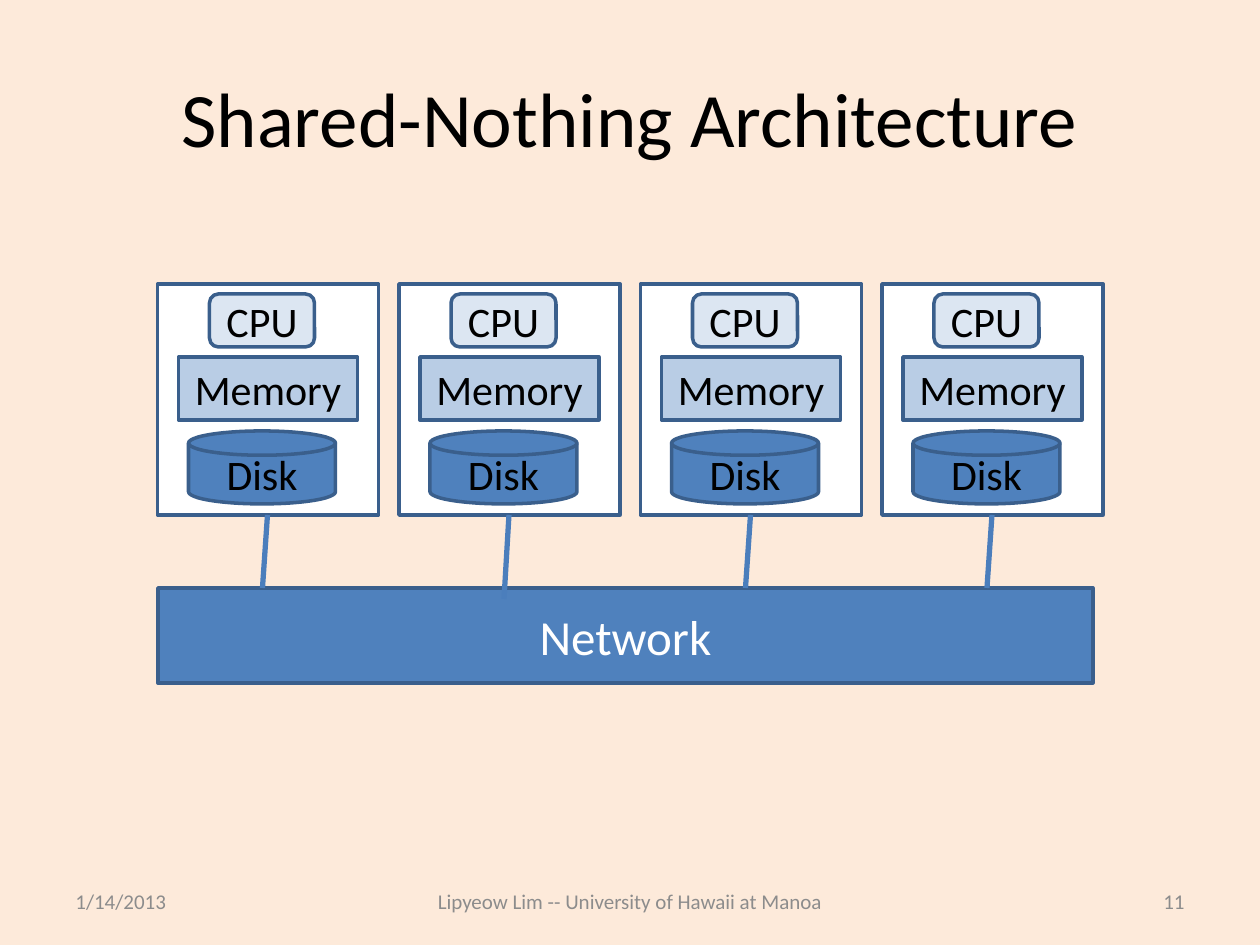
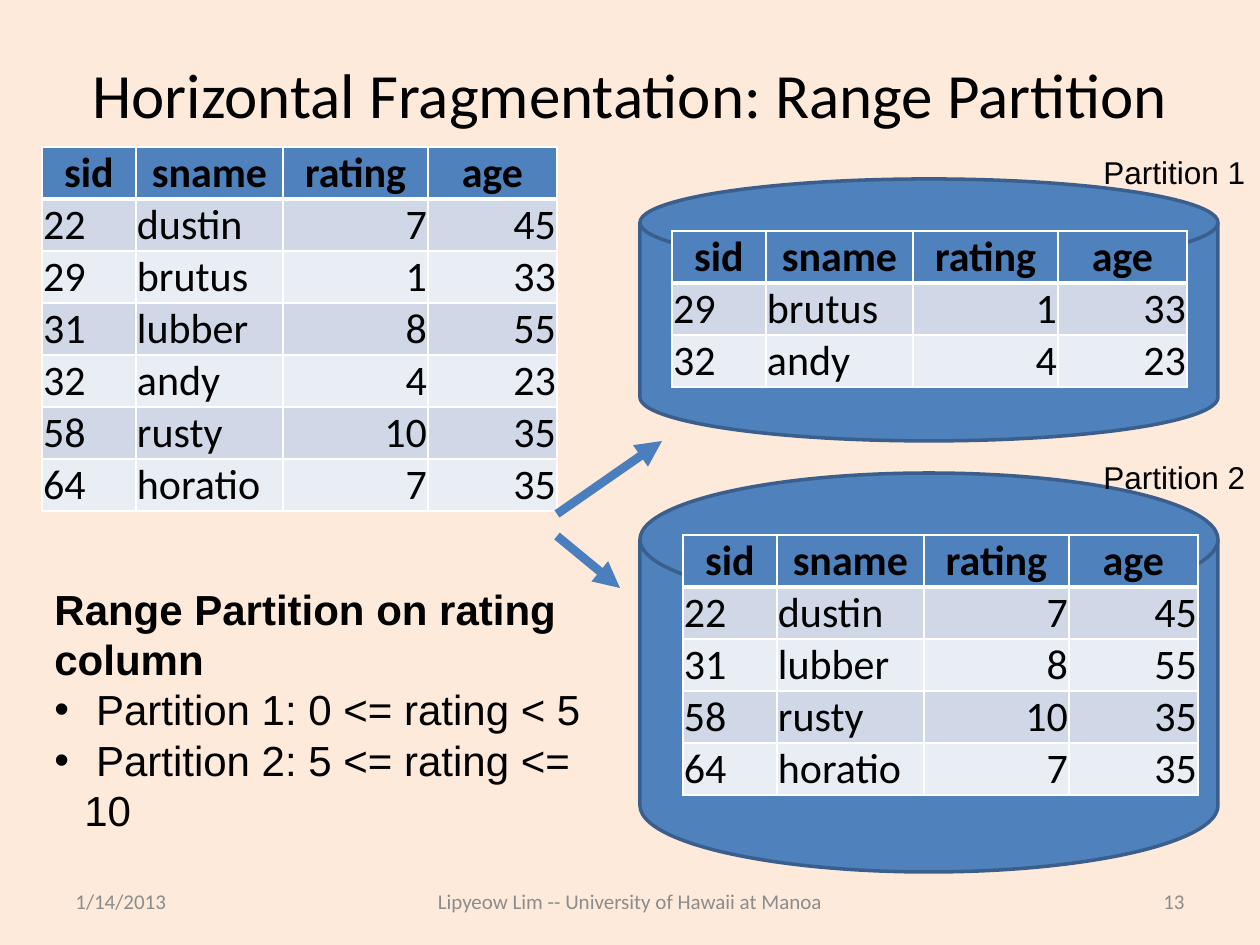
import pptx
import pptx.util
import pptx.dml.color
import pptx.enum.shapes
import pptx.enum.text
import pptx.oxml
import pptx.oxml.ns

RGB = pptx.dml.color.RGBColor
SHAPE = pptx.enum.shapes.MSO_SHAPE
ALIGN = pptx.enum.text.PP_ALIGN
ANCHOR = pptx.enum.text.MSO_ANCHOR
Pt = pptx.util.Pt
PX = 914400 / 126  # one px in EMU

CREAM = RGB(0xFD, 0xEA, 0xDA)
BLACK = RGB(0, 0, 0)
WHITE = RGB(255, 255, 255)
GRAY = RGB(0x8C, 0x8C, 0x8C)
BLUE = RGB(0x4F, 0x81, 0xBD)
EDGE = RGB(0x3A, 0x5F, 0x8C)
LINK = RGB(0x4B, 0x7E, 0xBC)
SKY = RGB(0xB9, 0xCD, 0xE5)
PALE = RGB(0xDC, 0xE6, 0xF2)
BANDS = [RGB(0xE9, 0xED, 0xF4), RGB(0xD0, 0xD8, 0xE8)]


def box(page, at, text="", size=24, color=BLACK, align=ALIGN.CENTER,
        kind=None, fill=None, face="Calibri"):
    """Add a text box, or a filled shape when a kind is given."""
    place = [round(n * PX) for n in at]
    if kind is None:
        item = page.shapes.add_textbox(*place)
    else:
        item = page.shapes.add_shape(kind, *place)
        item.shadow.inherit = False
        item.fill.solid()
        item.fill.fore_color.rgb = fill
        item.line.color.rgb = EDGE
        item.line.width = Pt(2)
    frame = item.text_frame
    frame.word_wrap = True
    frame.vertical_anchor = ANCHOR.MIDDLE
    if text:
        para = frame.paragraphs[0]
        para.text = text
        para.alignment = align
        para.font.size = Pt(size)
        para.font.name = face
        para.font.color.rgb = color
    return frame


def link(page, ends, width, arrow=False):
    """Add a straight line, with an arrowhead at its end if asked."""
    line = page.shapes.add_connector(
        pptx.enum.shapes.MSO_CONNECTOR.STRAIGHT, *[round(n * PX) for n in ends])
    line.line.color.rgb = LINK
    line.line.width = Pt(width)
    props = line._element.spPr
    if arrow:
        pptx.oxml.ns.qn("a:ln")
        head = props.find(pptx.oxml.ns.qn("a:ln"))
        head.append(head.makeelement(pptx.oxml.ns.qn("a:tailEnd"), {"type": "triangle"}))
    props.append(props.makeelement(pptx.oxml.ns.qn("a:effectLst"), {}))


deck = pptx.Presentation()
deck.slide_width = round(1260 * PX)
deck.slide_height = round(945 * PX)

# Shared background, title and footer
pages = []
for title, size, height, number in [
    ("Shared-Nothing Architecture", 44, 158, "11"),
    ("Horizontal Fragmentation: Range Partition", 36, 110, "13"),
]:
    page = deck.slides.add_slide(deck.slide_layouts[6])
    page.background.fill.solid()
    page.background.fill.fore_color.rgb = CREAM
    box(page, (63, 38, 1134, height), title, size)
    for left, width, text, align in [
        (63, 294, "1/14/2013", ALIGN.LEFT),
        (378, 504, "Lipyeow Lim -- University of Hawaii at Manoa", ALIGN.CENTER),
        (903, 294, number, ALIGN.RIGHT),
    ]:
        box(page, (left, 876, width, 50), text, 12, GRAY, align)
    pages.append(page)
nodes, parts = pages

# Slide 1: network with four nodes on top
box(nodes, (158, 588, 935, 95), "Network", 28, WHITE, kind=SHAPE.RECTANGLE, fill=BLUE)
for i in range(4):
    left = 157.5 + 241.5 * i
    for dx, top, width, height, text, kind, fill in [
        (0, 284, 221, 231, "", SHAPE.RECTANGLE, WHITE),
        (31, 431, 147, 73, "Disk", SHAPE.FLOWCHART_MAGNETIC_DISK, BLUE),
        (21, 357, 179, 63, "Memory", SHAPE.RECTANGLE, SKY),
        (52, 294, 105, 53, "CPU", SHAPE.ROUNDED_RECTANGLE, PALE),
    ]:
        box(nodes, (left + dx, top, width, height), text, kind=kind, fill=fill)
    foot = 599 if i == 1 else 588
    link(nodes, (left + 110, 515, left + 105, foot), 3)

# Slide 2: disks behind the partitions
for top, height in [(473, 399), (179, 262)]:
    box(parts, (640, top, 578, height), kind=SHAPE.FLOWCHART_MAGNETIC_DISK, fill=BLUE)

# Full table, then its two partitions by rating
HEAD = ("sid", "sname", "rating", "age")
ROWS = [
    (22, "dustin", 7, 45),
    (29, "brutus", 1, 33),
    (31, "lubber", 8, 55),
    (32, "andy", 4, 23),
    (58, "rusty", 10, 35),
    (64, "horatio", 7, 35),
]
COLS = (94, 147, 145, 129)
SIDES = (ALIGN.LEFT, ALIGN.LEFT, ALIGN.RIGHT, ALIGN.RIGHT)
RULE = ('<a:{} xmlns:a="http://schemas.openxmlformats.org/drawingml/2006/main" w="{}">'
        '<a:solidFill><a:srgbClr val="FFFFFF"/></a:solidFill></a:{}>')

for left, top, rows in [
    (42, 147, ROWS),
    (672, 231, [row for row in ROWS if row[2] < 5]),
    (683, 535, [row for row in ROWS if row[2] >= 5]),
]:
    rows = [HEAD] + rows
    place = [round(n * PX) for n in (left, top, sum(COLS), 52 * len(rows))]
    grid = parts.shapes.add_table(len(rows), len(COLS), *place).table
    for col, width in zip(grid.columns, COLS):
        col.width = round(width * PX)
    for r, row in enumerate(rows):
        grid.rows[r].height = round(52 * PX)
        for c, value in enumerate(row):
            cell = grid.cell(r, c)
            cell.margin_left = cell.margin_right = cell.margin_top = round(PX)
            cell.margin_bottom = 0
            cell.vertical_anchor = ANCHOR.BOTTOM
            for side in ("lnL", "lnR", "lnT", "lnB"):
                wide = 3 if r == 0 and side == "lnB" else 1
                rule = RULE.format(side, Pt(wide), side)
                cell._tc.get_or_add_tcPr().append(pptx.oxml.parse_xml(rule))
            cell.fill.solid()
            cell.fill.fore_color.rgb = BANDS[r % 2] if r else BLUE
            para = cell.text_frame.paragraphs[0]
            para.text = str(value)
            para.alignment = SIDES[c] if r else ALIGN.CENTER
            para.font.size = Pt(24)
            para.font.name = "Calibri"
            para.font.bold = r == 0
            para.font.color.rgb = BLACK

# Arrows from the full table to the partitions
link(parts, (557, 514, 662, 441), 5, arrow=True)
link(parts, (557, 536, 620, 588), 5, arrow=True)

# Partition rule
note = box(parts, (42, 577, 598, 217), "Range Partition on rating column",
           align=ALIGN.LEFT, face="Arial")
note.vertical_anchor = ANCHOR.TOP
note.paragraphs[0].font.bold = True
for text in (" Partition 1: 0 <= rating < 5", " Partition 2: 5 <= rating <= 10"):
    para = note.add_paragraph()
    para.text = text
    props = para._p.get_or_add_pPr()
    props.set("marL", str(round(30 * PX)))
    props.set("indent", str(round(-30 * PX)))
    for tag, key, value in [("a:buFont", "typeface", "Arial"), ("a:buChar", "char", "•")]:
        props.append(props.makeelement(pptx.oxml.ns.qn(tag), {key: value}))
    para.font.size = Pt(24)
    para.font.name = "Arial"
    para.font.color.rgb = BLACK

# Partition labels
for top, text in [(147, "Partition 1"), (452, "Partition 2")]:
    label = box(parts, (1091, top, 169, 50), text, 18, align=ALIGN.LEFT, face="Arial")
    label.word_wrap = False

deck.save("out.pptx")
